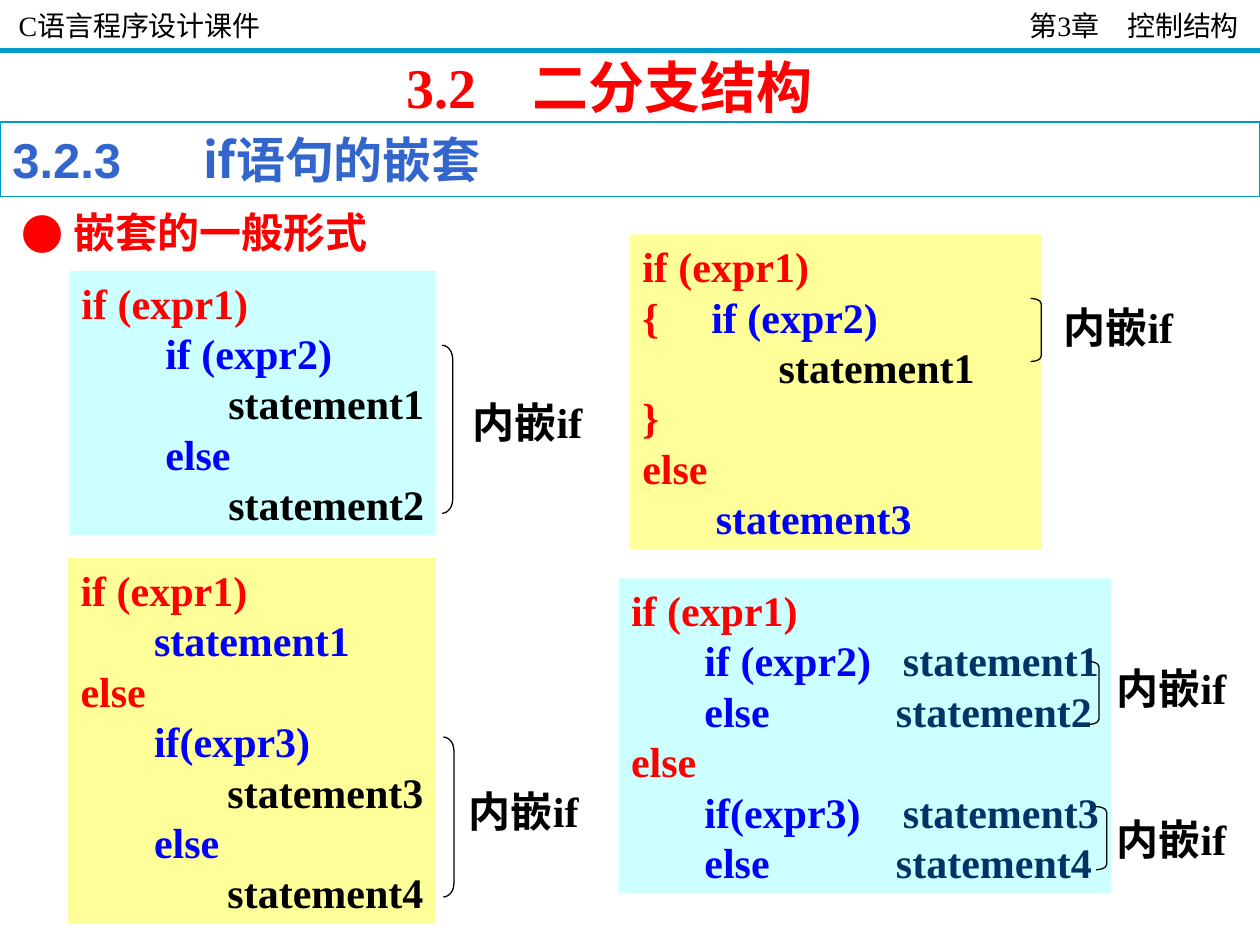
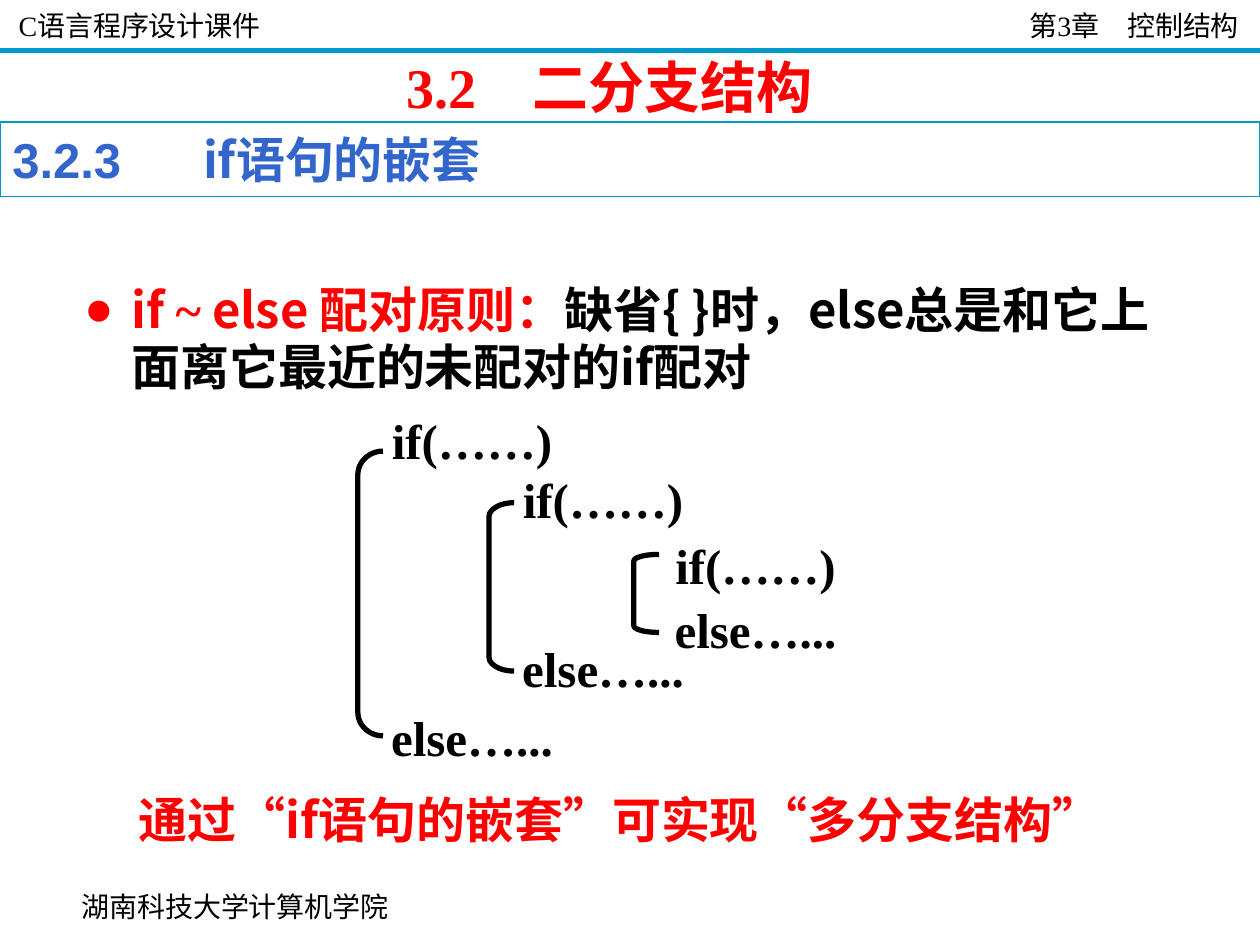
"""Build two slides about nested if statements in C."""
import pptx
import pptx.util
import pptx.dml.color
import pptx.enum.shapes
import pptx.enum.text
import pptx.oxml.ns
import lxml.etree

Pt = pptx.util.Pt
Kind = pptx.enum.shapes.MSO_SHAPE
Align = pptx.enum.text.PP_ALIGN
Anchor = pptx.enum.text.MSO_ANCHOR
qn = pptx.oxml.ns.qn
SERIF, SANS, ARIAL = "Times New Roman", "Noto Sans CJK SC", "Arial"
HEX = {"red": "FF0000", "blue": "0000FF", "black": "000000", "navy": "003366",
       "teal": "0099CC", "head": "3366CC", "aqua": "CCFFFF", "cream": "FFFF99"}
TONE = {name: pptx.dml.color.RGBColor.from_string(code) for name, code in HEX.items()}


def put(page, spot, lines, size, font=SERIF, bold=True, align=Align.LEFT, fill=None,
        edge=None, pitch=None, top=None, bullet=None, tabs={}):
    spot = [Pt(n) for n in spot]
    if fill or edge:
        box = page.shapes.add_shape(Kind.RECTANGLE, *spot)
        box.shadow.inherit = False
        box.fill.background()
        box.line.fill.background()
        if fill:
            box.fill.solid()
            box.fill.fore_color.rgb = TONE[fill]
        if edge:
            box.line.color.rgb = TONE[edge]
            box.line.width = Pt(0.75)
    else:
        box = page.shapes.add_textbox(*spot)
    frame = box.text_frame
    form = {"word_wrap": True, "margin_left": Pt(7.2 if align == Align.LEFT else 0),
            "margin_right": 0, "margin_top": Pt(top or 0), "margin_bottom": 0,
            "vertical_anchor": Anchor.TOP if top else Anchor.MIDDLE}
    for key, val in form.items():
        setattr(frame, key, val)
    for row, line in enumerate(lines):
        para = frame.add_paragraph() if row else frame.paragraphs[0]
        para.alignment = align
        if pitch:
            para.line_spacing = Pt(pitch)
        props = para._p.get_or_add_pPr()
        if bullet:
            face, gap = bullet
            props.set("marL", str(Pt(gap)))
            props.set("indent", str(-Pt(gap)))
            tint = lxml.etree.SubElement(props, qn("a:buClr"))
            lxml.etree.SubElement(tint, qn("a:srgbClr"), val=HEX["red"])
            lxml.etree.SubElement(props, qn("a:buFont"), typeface=face)
            lxml.etree.SubElement(props, qn("a:buChar"), char="●")
        if row in tabs:
            stops = lxml.etree.SubElement(props, qn("a:tabLst"))
            lxml.etree.SubElement(stops, qn("a:tab"), pos=str(Pt(tabs[row])), algn="l")
        for text, tone, *face in line:
            run = para.add_run()
            run.text = text
            form = {"size": Pt(size), "name": face[0] if face else font, "bold": bold}
            for key, val in form.items():
                setattr(run.font, key, val)
            run.font.color.rgb = TONE[tone]
            if max(text) > "\u2fff":
                latin = run._r.rPr.find(qn("a:latin"))
                latin.addnext(latin.makeelement(qn("a:ea"), {"typeface": SANS}))


def brace(page, kind, spot, width):
    arc = page.shapes.add_shape(kind, *[Pt(n) for n in spot])
    arc.shadow.inherit = False
    arc.fill.background()
    arc.line.color.rgb = TONE["black"]
    arc.line.width = Pt(width)
    arc.adjustments[0] = spot[3] / spot[2] / 12


deck = pptx.Presentation()
deck.slide_width, deck.slide_height = Pt(720), Pt(540)
pages = [deck.slides.add_slide(deck.slide_layouts[6]) for _ in range(2)]
forms, rule = pages

for page in pages:
    bar = page.shapes.add_connector(pptx.enum.shapes.MSO_CONNECTOR.STRAIGHT,
                                    0, Pt(28.8), Pt(720), Pt(28.8))
    bar.line.color.rgb = TONE["teal"]
    bar.line.width = Pt(3)
    lxml.etree.SubElement(bar._element.spPr, qn("a:effectLst"))
    put(page, (3.6, 1.4, 300, 26), [[("C语言程序设计课件", "black")]], 16, bold=False)
    put(page, (408, 1.4, 300, 26), [[("第3章\u3000控制结构", "black")]], 16,
        bold=False, align=Align.RIGHT)
    put(page, (225, 26, 414, 46), [[("3.2\u3000二分支结构", "red")]], 32)
    put(page, (0, 69.8, 720, 42.5),
        [[("3.2.3\t", "head", ARIAL), ("if语句的嵌套", "head", SANS)]],
        28, edge="teal", tabs={0: 109})

test, other = [("if (expr1)", "red")], [("else", "red")]
codes = [
    (353.5, 330.5, 281.5, "aqua", {1: 155.4, 2: 151.4, 4: 155.4, 5: 151.4}, [
        test,
        [("       if (expr2)", "blue"), ("\tstatement1", "navy")],
        [("       else", "blue"), ("\tstatement2", "navy")],
        other,
        [("       if(expr3)", "blue"), ("\tstatement3", "navy")],
        [("       else", "blue"), ("\tstatement4", "navy")]]),
    (39.5, 154.8, 210, "aqua", {}, [
        test,
        [("        if (expr2)", "blue")],
        [("              statement1", "black")],
        [("        else", "blue")],
        [("              statement2", "black")]]),
    (360, 134, 235, "cream", {1: 39.4}, [
        test,
        [("{", "red"), ("\tif (expr2)", "blue")],
        [("             statement1", "black")],
        [("}", "red")],
        other,
        [("       statement3", "blue")]]),
    (39, 319, 210, "cream", {}, [
        test,
        [("       statement1", "blue")],
        other,
        [("       if(expr3)", "blue")],
        [("              statement3", "black")],
        [("       else", "blue")],
        [("              statement4", "black")]])]
for left, top, wide, fill, tabs, lines in codes:
    put(forms, (left, top, wide, 28.8 * len(lines) + 7.2), lines, 24,
        fill=fill, pitch=28.8, top=3.6, tabs=tabs)

inner = [(628, 375, 622, 378, 36), (628, 461.5, 626.4, 461, 36),
         (260, 223, 252.7, 197.3, 96), (597.6, 168.5, 589, 170.6, 36),
         (257.8, 445, 253.4, 421.2, 91.4)]
for left, top, arc, start, tall in inner:
    put(forms, (left, top, 83, 36), [[("内嵌if", "black")]], 24, align=Align.CENTER)
    brace(forms, Kind.RIGHT_BRACKET, (arc, start, 6, tall), 0.75)
put(forms, (5, 114.5, 698, 36), [[("嵌套的一般形式", "red")]], 24, SANS, bullet=(SANS, 30))

put(rule, (32.4, 499.7, 204, 36), [[("湖南科技大学计算机学院", "black")]], 16,
    bold=False, align=Align.CENTER)
put(rule, (41, 151, 630, 84), [[
    ("if ", "red"), ("~", "red", SERIF), (" else 配对原则：", "red"),
    ("缺省{ }时，else总是和它上面离它最近的未配对的if配对", "black")]],
    28, SANS, pitch=32.6, top=9.6, bullet=(SERIF, 27))
pairs = [(216.7, 229.7, 399.6, 204.5, 257.8, 162.7),
         (291.6, 263.5, 360, 279.4, 287.3, 96.2),
         (378.7, 301, 337.7, 362.2, 316.8, 44.6)]
for left, high, low, arc, start, tall in pairs:
    for top, word in ((high, "if(……)"), (low, "else…...")):
        put(rule, (left, top, 106, 41), [[(word, "black")]], 28,
            align=Align.CENTER, pitch=36)
    brace(rule, Kind.LEFT_BRACKET, (arc, start, 14.4, tall), 3)
put(rule, (59.8, 430.6, 589, 75), [[("通过“if语句的嵌套”可实现“多分支结构”", "red")]],
    28, SANS, align=Align.CENTER)

deck.save("out.pptx")
